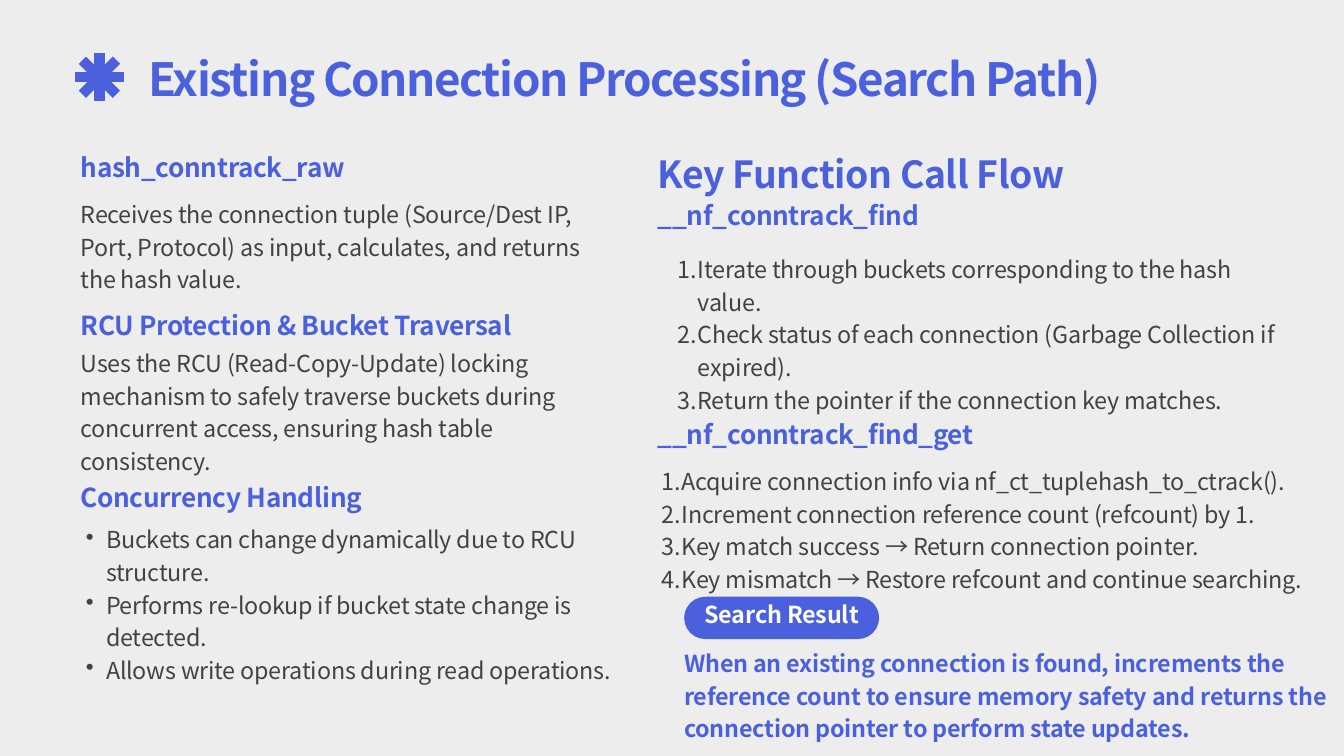
"""Build the slide on processing existing connections by search."""
import math
from dataclasses import dataclass

import lxml.etree
import pptx
import pptx.dml.color
import pptx.enum.shapes
import pptx.enum.text
import pptx.oxml
import pptx.oxml.ns
import pptx.slide
import pptx.util

Cm, Pt = pptx.util.Cm, pptx.util.Pt
qn = pptx.oxml.ns.qn
FONT = "Noto Sans CJK KR"
COLORS = {"bg": "EDEDEE", "accent": "4A60DD", "body": "424242", "white": "FFFFFF"}
FORMATS = {
    "title": {"size": 49, "bold": True, "color": "accent", "line": 49, "spc": -150},
    "section": {"size": 40, "bold": True, "color": "accent", "line": 52, "spc": -40},
    "heading": {"size": 28, "bold": True, "color": "accent", "line": 38.9, "spc": -30},
    "body": {"size": 25, "bold": False, "color": "body", "line": 35, "spc": -20},
    "result": {"size": 25, "bold": True, "color": "accent", "line": 35, "spc": -20},
    "badge": {"size": 25, "bold": True, "color": "white", "line": 35, "spc": -20},
}
BULLETS = {
    "dot": ("a:buChar", {"char": "•"}),
    "number": ("a:buAutoNum", {"type": "arabicPeriod"}),
}
LEFT, RIGHT, RESULT = 3.05, 24.87, 25.86
TEXTS = [
    ("heading", (LEFT, 5.54, 10.74, 1.32), "hash_conntrack_raw"),
    ("body", (LEFT, 7.39, 19.43, 3.61),
     "Receives the connection tuple (Source/Dest IP, Port, Protocol) as input, "
     "calculates, and returns the hash value."),
    ("heading", (LEFT, 11.51, 18.59, 1.32), "RCU Protection & Bucket Traversal"),
    ("body", (LEFT, 13.03, 19.43, 4.83),
     "Uses the RCU (Read-Copy-Update) locking mechanism to safely traverse buckets "
     "during concurrent access, ensuring hash table consistency."),
    ("heading", (LEFT, 18.01, 15.14, 1.32), "Concurrency Handling"),
    ("section", (RIGHT, 5.59, 22.43, 1.78), "Key Function Call Flow"),
    ("heading", (RIGHT, 7.37, 10.74, 1.32), "__nf_conntrack_find"),
    ("heading", (RIGHT, 15.62, 16.48, 1.32), "__nf_conntrack_find_get"),
    ("result", (RESULT, 24.36, 25.15, 3.61),
     "When an existing connection is found, increments the reference count to ensure "
     "memory safety and returns the connection pointer to perform state updates."),
]
LISTS = [
    ("dot", (2.51, 19.69, 21.74, 6.05), [
        "Buckets can change dynamically due to RCU structure.",
        "Performs re-lookup if bucket state change is detected.",
        "Allows write operations during read operations."]),
    ("number", (RIGHT, 9.47, 23.72, 6.05), [
        "Iterate through buckets corresponding to the hash value.",
        "Check status of each connection (Garbage Collection if expired).",
        "Return the pointer if the connection key matches."]),
    ("number", (24.26, 17.48, 26.75, 4.83), [
        "Acquire connection info via nf_ct_tuplehash_to_ctrack().",
        "Increment connection reference count (refcount) by 1.",
        "Key match success → Return connection pointer.",
        "Key mismatch → Restore refcount and continue searching."]),
]


def rgb(name):
    """Return the named colour."""
    return pptx.dml.color.RGBColor.from_string(COLORS[name])


@dataclass
class Painter:
    """Hold the style and the current slide."""

    s: pptx.slide.Slide
    font: str = FONT

    def fill_text(self, sp, lines, style, bullet=None, align="LEFT", anchor="TOP", inset=0):
        """Fill a shape with formatted paragraphs."""
        fmt, tf = FORMATS[style], sp.text_frame
        frame = {
            "word_wrap": True,
            "auto_size": pptx.enum.text.MSO_AUTO_SIZE.NONE,
            "vertical_anchor": getattr(pptx.enum.text.MSO_ANCHOR, anchor),
        }
        for side in ("left", "top", "right", "bottom"):
            frame[f"margin_{side}"] = Cm(inset)
        for key, value in frame.items():
            setattr(tf, key, value)
        for i, line in enumerate(lines):
            p = tf.add_paragraph() if i else tf.paragraphs[0]
            p.alignment = getattr(pptx.enum.text.PP_ALIGN, align)
            p.line_spacing = Pt(fmt["line"])
            if bullet:
                self.add_bullet(p, bullet)
            r = p.add_run()
            r.text = line
            values = {"name": self.font, "size": Pt(fmt["size"]), "bold": fmt["bold"]}
            for key, value in values.items():
                setattr(r.font, key, value)
            r.font.color.rgb = rgb(fmt["color"])
            rpr = r._r.get_or_add_rPr()
            rpr.set("spc", str(fmt["spc"]))
            lxml.etree.SubElement(rpr, qn("a:ea")).set("typeface", self.font)

    def add_bullet(self, p, bullet):
        """Give a paragraph a hanging bullet or number."""
        p.level = 1
        ppr = p._p.get_or_add_pPr()
        ppr.set("marL", str(Cm(1.5)))
        ppr.set("indent", str(-Cm(0.76)))
        tag, attributes = BULLETS[bullet]
        lxml.etree.SubElement(ppr, qn(tag), attributes)

    def title(self, box, text):
        """Place and format the title placeholder."""
        sp = self.s.shapes.title
        for key, value in zip(("left", "top", "width", "height"), box):
            setattr(sp, key, Cm(value))
        self.fill_text(sp, [text], "title")

    def text(self, box, lines, style, **options):
        """Add a text box."""
        sp = self.s.shapes.add_textbox(*map(Cm, box))
        self.fill_text(sp, lines, style, **options)

    def pill(self, box):
        """Add a fully rounded bar."""
        kind = pptx.enum.shapes.MSO_SHAPE.ROUNDED_RECTANGLE
        sp = self.s.shapes.add_shape(kind, *map(Cm, box))
        sp.adjustments[0] = 0.5
        sp.shadow.inherit = False
        sp.fill.solid()
        sp.fill.fore_color.rgb = rgb("accent")
        sp.line.fill.background()

    def asterisk(self, x, y, radius, count=4):
        """Draw evenly turned strokes through one centre."""
        for i in range(count):
            dx = radius * math.cos(math.pi * i / count)
            dy = radius * math.sin(math.pi * i / count)
            line = self.s.shapes.add_connector(
                pptx.enum.shapes.MSO_CONNECTOR.STRAIGHT,
                Cm(x - dx), Cm(y - dy), Cm(x + dx), Cm(y + dy))
            line.line.color.rgb = rgb("accent")
            line.line.width = Pt(11)
            lxml.etree.SubElement(line._element.spPr, qn("a:effectLst"))


def main():
    """Build and save the slide."""
    prs = pptx.Presentation()
    prs.slide_width, prs.slide_height = Cm(50.8), Cm(28.58)
    s = prs.slides.add_slide(prs.slide_layouts[5])
    s.background.fill.solid()
    s.background.fill.fore_color.rgb = rgb("bg")
    painter = Painter(s)
    painter.asterisk(3.76, 2.92, 0.91)
    painter.title((5.61, 2.26, 40.51, 1.83), "Existing Connection Processing (Search Path)")
    for style, box, text in TEXTS:
        painter.text(box, [text], style)
    for bullet, box, lines in LISTS:
        painter.text(box, lines, "body", bullet=bullet)
    painter.pill((RESULT, 22.56, 7.37, 1.6))
    painter.text((RESULT, 22.07, 7.37, 2.11), ["Search Result"], "badge",
                 align="CENTER", anchor="MIDDLE", inset=0.15)
    prs.save("out.pptx")


if __name__ == "__main__":
    main()
